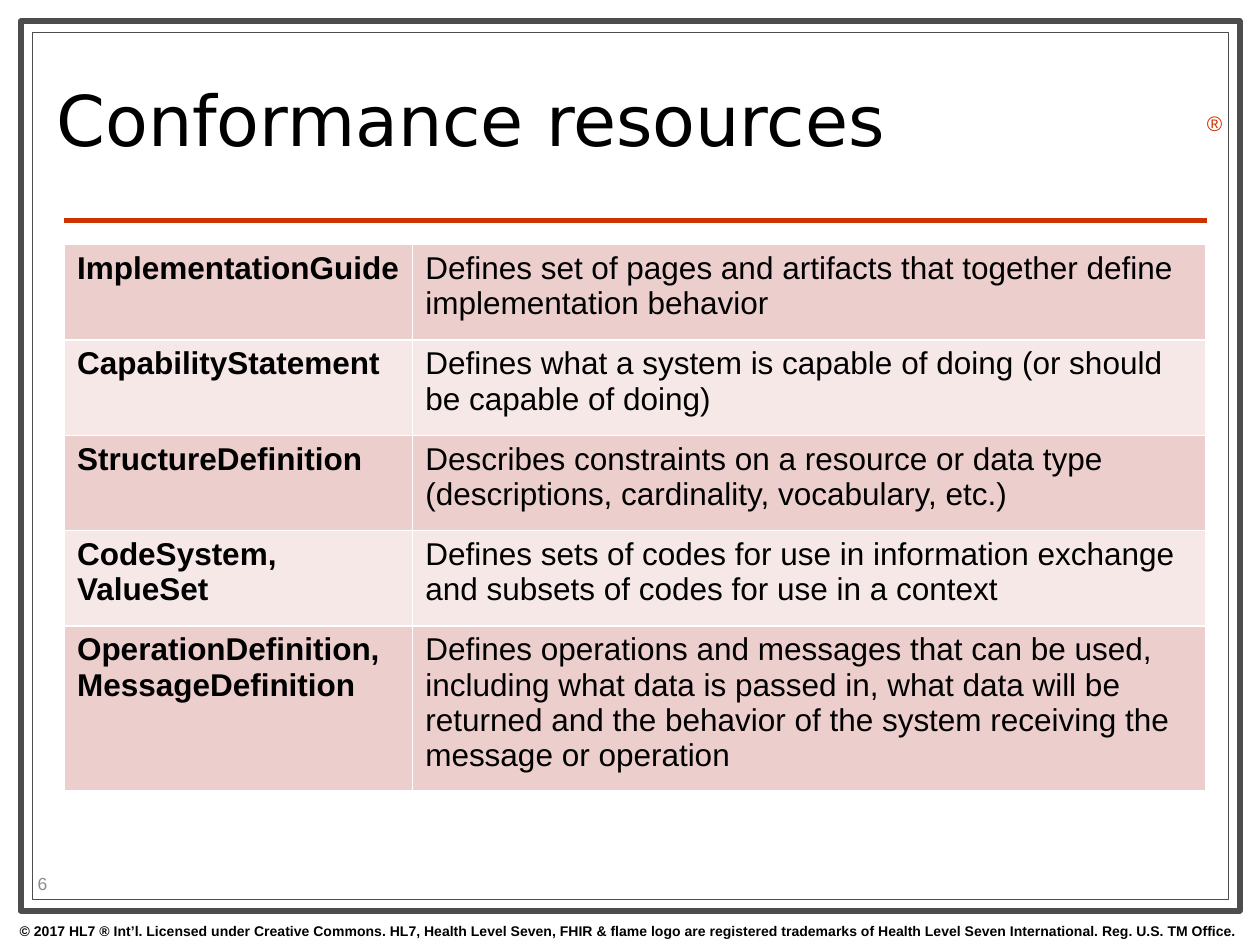
import pptx
import pptx.util
import pptx.dml.color
import pptx.enum.shapes
import pptx.enum.text
import pptx.oxml
import pptx.oxml.ns

Cm, Pt = pptx.util.Cm, pptx.util.Pt
ALIGN = pptx.enum.text.PP_ALIGN
MID = pptx.enum.text.MSO_ANCHOR.MIDDLE
TOP = pptx.enum.text.MSO_ANCHOR.TOP

INK, GREY, RED = "000000", "4D4D4D", "CC3300"
BANDS = ["ECCECC", "F6E8E7"]
ROWS = [
    ("ImplementationGuide",
     "Defines set of pages and artifacts that together define implementation behavior"),
    ("CapabilityStatement",
     "Defines what a system is capable of doing (or should be capable of doing)"),
    ("StructureDefinition",
     "Describes constraints on a resource or data type (descriptions, cardinality, vocabulary, etc.)"),
    ("CodeSystem, ValueSet",
     "Defines sets of codes for use in information exchange and subsets of codes for use in a context"),
    ("OperationDefinition, MessageDefinition",
     "Defines operations and messages that can be used, including what data is passed in, "
     "what data will be returned and the behavior of the system receiving the message or operation"),
]
NOTICE = ("© 2017 HL7 ® Int’l. Licensed under Creative Commons. HL7, Health Level Seven, "
          "FHIR & flame logo are registered trademarks of Health Level Seven International. "
          "Reg. U.S. TM Office.")


def color(code):
    return pptx.dml.color.RGBColor.from_string(code)


def style(para, size, ink=INK, bold=False, face="Arial"):
    font = para.font
    font.name, font.size, font.bold = face, Pt(size), bold
    font.color.rgb = color(ink)


def label(slide, box, text, size, ink=INK, bold=False, face="Arial",
          anchor=TOP, align=ALIGN.LEFT, wrap=True):
    frame = slide.shapes.add_textbox(*map(Cm, box)).text_frame
    frame.word_wrap = wrap
    frame.vertical_anchor = anchor
    para = frame.paragraphs[0]
    para.text = text
    para.alignment = align
    style(para, size, ink, bold, face)
    return para


def border(cell):
    props = cell._tc.get_or_add_tcPr()
    for i, side in enumerate(("lnL", "lnR", "lnT", "lnB")):
        props.insert(i, pptx.oxml.parse_xml(
            f'<a:{side} {pptx.oxml.ns.nsdecls("a")} w="12700"><a:solidFill>'
            f'<a:srgbClr val="FFFFFF"/></a:solidFill></a:{side}>'))


def frames(slide, box):
    # Heavy outer frame with a thin one inside it
    left, top, width, height = box
    for gap, weight in ((0, 3.5), (0.23, 0.75)):
        rect = slide.shapes.add_shape(
            pptx.enum.shapes.MSO_SHAPE.RECTANGLE, Cm(left + gap), Cm(top + gap),
            Cm(width - 2 * gap), Cm(height - 2 * gap))
        rect.shadow.inherit = False
        rect.fill.solid()
        rect.fill.fore_color.rgb = color("FFFFFF")
        rect.line.color.rgb = color(GREY)
        rect.line.width = Pt(weight)


def header(slide, box):
    left, top, width, height = box
    # Title and trademark sign
    title = label(slide, (left, top, 18.21, height), "Conformance resources", 40,
                  face="DejaVu Sans", anchor=MID)
    title.line_spacing = 0.8
    label(slide, (left + width - 0.25, top + 1.19, 0.79, 0.76), "®", 12, RED, wrap=False)
    # Rule under the title
    down = Cm(top + height + 0.25)
    rule = slide.shapes.add_connector(
        pptx.enum.shapes.MSO_CONNECTOR.STRAIGHT,
        Cm(left + 0.4), down, Cm(left + width), down)
    rule.line.color.rgb = color(RED)
    rule.line.width = Pt(3)
    rule._element.spPr.append(
        pptx.oxml.parse_xml(f'<a:effectLst {pptx.oxml.ns.nsdecls("a")}/>'))


def grid(slide, box):
    width, height = box[2:]
    last = 3.33
    first = 7.02
    table = slide.shapes.add_table(len(ROWS), 2, *map(Cm, box)).table
    table.first_row = table.horz_banding = False
    table.columns[0].width = Cm(first)
    table.columns[1].width = Cm(width - first)
    for i, row in enumerate(ROWS):
        end = i == len(ROWS) - 1
        table.rows[i].height = Cm(last if end else (height - last) / (len(ROWS) - 1))
        for j, text in enumerate(row):
            cell = table.cell(i, j)
            cell.text = text
            cell.fill.solid()
            cell.fill.fore_color.rgb = color(BANDS[i % 2])
            border(cell)
            style(cell.text_frame.paragraphs[0], 18, bold=j == 0)


def footer(slide, box):
    left, top, width, height = box
    # Page number above the notice
    label(slide, (left + 0.53, top - 0.97, 2, 0.61), "6", 10, "8C8C8C", anchor=MID)
    label(slide, box, NOTICE, 8, bold=True, align=ALIGN.CENTER)


def main():
    deck = pptx.Presentation()
    deck.slide_width, deck.slide_height = Cm(25.4), Cm(19.05)
    slide = deck.slides.add_slide(deck.slide_layouts[6])
    frames(slide, (0.42, 0.43, 24.57, 17.93))
    header(slide, (0.89, 0.91, 23.44, 3.28))
    grid(slide, (1.3, 4.93, 23.01, 11.02))
    footer(slide, (-0.02, 18.47, 25.4, 0.58))
    deck.save("out.pptx")


if __name__ == "__main__":
    main()
